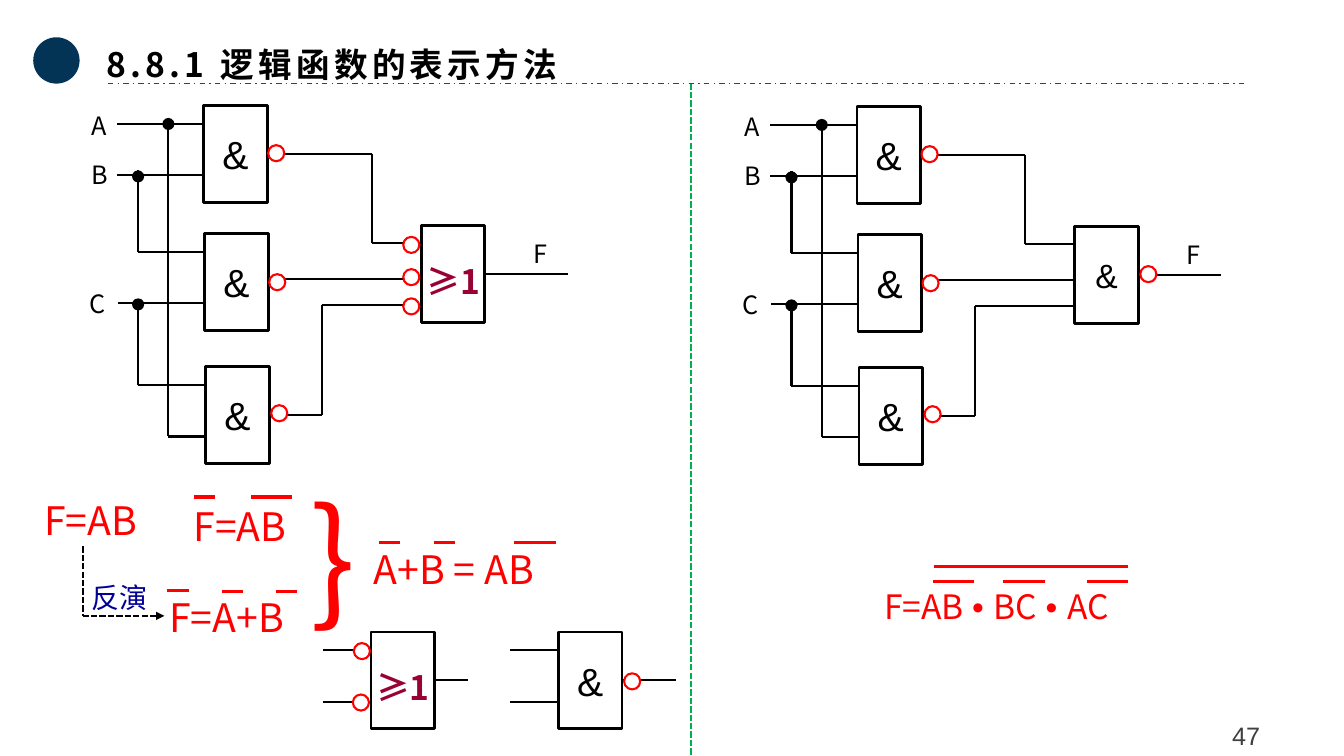
from itertools import pairwise

from lxml import etree
from pptx import Presentation
from pptx import util as u
from pptx.dml.color import RGBColor
from pptx.enum import dml, shapes, text
from pptx.oxml.ns import qn

SANS, ARIAL, TIMES = "Noto Sans CJK SC", "Arial", "Times New Roman"
BLACK, WHITE, RED, GREY = "000000", "FFFFFF", "FF0000", "404040"
MAROON, BLUE, NAVY, GREEN = "990033", "000099", "033455", "00B050"
AND, OR = "&", "≥1"
GATE_W, GATE_H, BUBBLE, DOT = 63, 96, 16, 12


def px(n):
    return u.Emu(n * 9144)  # 100 px to the inch


def rgb(color):
    return RGBColor.from_string(color)


class Board:
    """Draws on one slide; every position is counted from origin."""

    def __init__(self, slide):
        self.shapes = slide.shapes
        self.origin = (0, 0)

    def place(self, x, y):
        return px(x + self.origin[0]), px(y + self.origin[1])

    def style(self, font, size, color, bold=False, face=SANS):
        font.size, font.bold, font.name = u.Pt(size), bold, face
        font.color.rgb = rgb(color)

    def label(self, x, y, w, h, words, size, color, face=SANS, bold=False,
              wrap=False, middle=False, spacing=None, align=None, tracking=0):
        box = self.shapes.add_textbox(*self.place(x, y), px(w), px(h))
        frame = box.text_frame
        frame.word_wrap = wrap
        frame.auto_size = text.MSO_AUTO_SIZE.SHAPE_TO_FIT_TEXT
        if middle:
            frame.vertical_anchor = text.MSO_ANCHOR.MIDDLE
        para = frame.paragraphs[0]
        para.line_spacing, para.alignment = spacing, align
        if isinstance(words, str):
            para.add_run().text = words
            self.style(para.font, size, color, bold, face)
            defaults = para._p.pPr.find(qn("a:defRPr"))
            etree.SubElement(defaults, qn("a:ea"), typeface=face)
            if tracking:
                defaults.set("spc", str(tracking * 100))
        else:
            for part, part_size, part_face, part_bold in words:
                run = para.add_run()
                run.text = part
                self.style(run.font, part_size, color, part_bold, part_face)

    def wire(self, *points, start=None, color=BLACK, width=1.5, dash=None,
             arrow=False):
        """Joins the points with straight lines; start is a gate left by its right side."""
        for begin, end in pairwise(points):
            line = self.shapes.add_connector(
                shapes.MSO_CONNECTOR.STRAIGHT, *self.place(*begin), *self.place(*end))
            line.line.color.rgb = rgb(color)
            line.line.width = u.Pt(width)
            if dash:
                line.line.dash_style = dash
            if start is not None and begin == points[0]:
                line.begin_connect(start, 3)
            if arrow and end == points[-1]:
                etree.SubElement(line.line._get_or_add_ln(), qn("a:tailEnd"), type="triangle")
            etree.SubElement(line._element.spPr, qn("a:effectLst"))

    def bar(self, x, y, length):
        self.wire((x, y), (x + length, y), color=RED, width=2.5)

    def shape(self, kind, x, y, w, h, fill, outline=None, width=0):
        item = self.shapes.add_shape(kind, *self.place(x, y), px(w), px(h))
        item.shadow.inherit = False
        item.fill.solid()
        item.fill.fore_color.rgb = rgb(fill)
        if outline:
            item.line.color.rgb = rgb(outline)
            item.line.width = u.Pt(width)
        else:
            item.line.fill.background()
        return item

    def disc(self, x, y, size, fill=BLACK):
        self.shape(shapes.MSO_SHAPE.OVAL, x, y, size, size, fill)

    def bubbles(self, *corners):
        for x, y in corners:
            self.shape(shapes.MSO_SHAPE.OVAL, x, y, BUBBLE, BUBBLE, WHITE, RED, 1.5)

    def gate(self, x, y, sign=AND, size=28):
        gate = self.shape(shapes.MSO_SHAPE.RECTANGLE, x, y, GATE_W, GATE_H, WHITE, BLACK, 2)
        frame = gate.text_frame
        frame.margin_left = frame.margin_right = frame.margin_top = frame.margin_bottom = 0
        frame.vertical_anchor = text.MSO_ANCHOR.MIDDLE
        para = frame.paragraphs[0]
        para.alignment = text.PP_ALIGN.CENTER
        para.add_run().text = sign
        if sign == OR:
            para.line_spacing = 1.35
            self.style(para.font, 24, MAROON, True)
            etree.SubElement(para._p.pPr.find(qn("a:defRPr")), qn("a:ea"), typeface=SANS)
        else:
            self.style(para.font, size, BLACK, face=ARIAL)
        return gate

    def circuit(self, sign, final_bubbles):
        """Three NAND gates feeding one final gate."""
        first, second, third = [self.gate(x, y) for x, y in ((202, 105), (203, 232), (204, 364))]
        final = self.gate(418, 224, sign, 24)
        # Inputs and their branches
        for name, x, y, w in (("A", 81, 105, 38), ("B", 81, 153, 36), ("C", 79, 281, 37)):
            self.label(x, y, w, 40, name, 18, BLACK)
        for x, y in ((116, 123), (116, 174), (117, 301)):
            self.wire((x, y), (202, y))
        self.wire((137, 169), (137, 250), (203, 250))
        self.wire((137, 301), (137, 382), (204, 382))
        self.wire((167, 117), (167, 433), (204, 433))
        for x, y in ((161, 117), (131, 169), (131, 296)):
            self.disc(x, y, DOT)
        # Wires into the final gate, and its output
        self.wire((265, 153), (369, 153), (369, 241), (418, 241), start=first)
        self.wire((266, 277), (418, 277))
        self.wire((267, 412), (319, 412), (319, 303), (418, 303), start=third)
        self.wire((481, 272), (563, 272), start=final)
        self.label(519, 232, 51, 40, "F", 18, BLACK, wrap=True)
        self.bubbles((266, 144), (267, 272), (269, 402), *final_bubbles)


def main():
    deck = Presentation()
    deck.slide_width, deck.slide_height = px(1333), px(750)
    board = Board(deck.slides.add_slide(deck.slide_layouts[6]))
    dashes = dml.MSO_LINE

    # Heading, divider and page number
    board.label(1148, 705, 176, 43, "47", 18, GREY, ARIAL, wrap=True, middle=True,
                spacing=1.2, align=text.PP_ALIGN.CENTER)
    board.disc(33, 37, 46, NAVY)
    board.label(96, 30, 1140, 59, "8.8.1 逻辑函数的表示方法", 24, BLACK, bold=True,
                wrap=True, middle=True, spacing=1.2, tracking=3)
    board.wire((107, 83), (1236, 83), color=GREY, width=1, dash=dashes.DASH_DOT)
    board.wire((685, 83), (685, 750), color=GREEN, dash=dashes.SQUARE_DOT)

    # Inversion formulas with their overbars
    for x, y, w, formula in ((34, 487, 123, "F=AB"), (158, 584, 152, "F=A+B"),
                             (182, 493, 123, "F=AB"), (361, 536, 206, "A+B = AB")):
        board.label(x, y, w, 57, formula, 28, RED)
    for x, y, length in ((166, 586, 21), (220, 587, 21), (274, 587, 21),
                         (192, 493, 21), (249, 493, 41),
                         (376, 538, 21), (430, 538, 21), (510, 538, 41)):
        board.bar(x, y, length)
    board.label(298, 465, 67, 172, "}", 96, RED, wrap=True)
    board.wire((82, 542), (82, 611), (163, 611), dash=dashes.SQUARE_DOT, arrow=True)
    board.label(81, 571, 76, 44, "反演", 20, BLUE)

    # Equivalent gates: OR with inverted inputs, and NAND
    inverted_or = board.gate(368, 627, OR)
    nand = board.gate(554, 627)
    for y in (645, 696):
        board.wire((320, y), (368, y))
        board.wire((506, y), (554, y))
    board.wire((431, 675), (464, 675), start=inverted_or)
    board.wire((617, 675), (670, 675), start=nand)
    board.bubbles((351, 638), (350, 689), (619, 668))

    # Left and right circuits
    board.circuit(OR, [(400, 235), (400, 267), (400, 296)])
    board.origin = (648, 1)
    board.circuit(AND, [(483, 263)])
    board.origin = (0, 0)

    # NAND form of the function
    dot = [(" •", 24, TIMES, True), (" ", 28, TIMES, True)]
    first, second, third = [(term, 24, SANS, False) for term in ("F=AB", "BC", "AC")]
    board.label(867, 571, 264, 57, [first, *dot, second, *dot, third], 24, RED)
    for x in (925, 995, 1078):
        board.bar(x, 577, 41)
    board.bar(926, 562, 193)

    deck.save("out.pptx")


if __name__ == "__main__":
    main()
